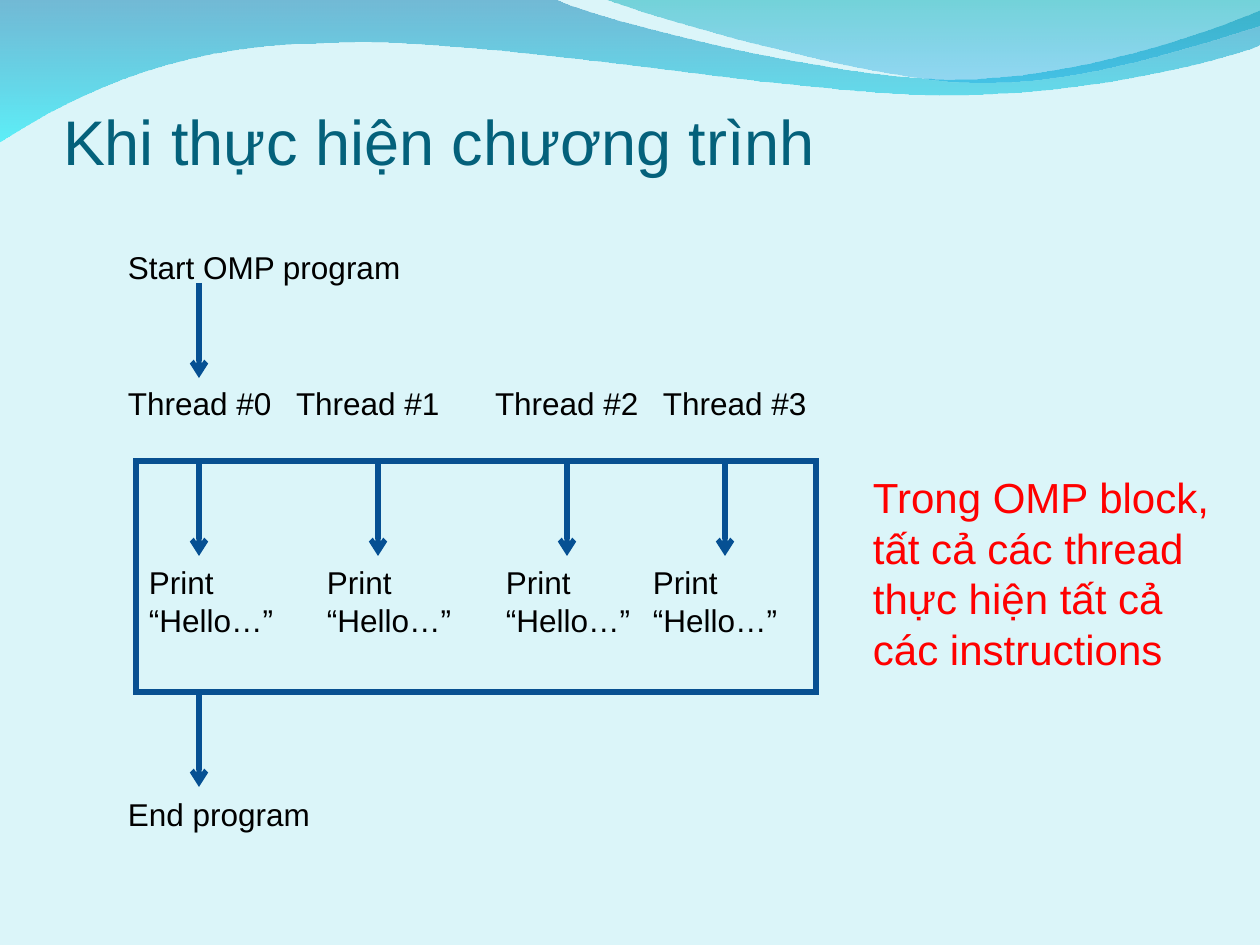
from pptx import Presentation
from pptx import util as u
from pptx.dml.color import RGBColor
from pptx.enum import shapes, text
from pptx.oxml import ns, xmlchemy

EMU_PER_PX = 914400 / 126
FONT = "Arial"
BACKGROUND = "DBF5F9"
TITLE_COLOUR = "04617B"
LINE_COLOUR = "065093"
BOX_COLOUR = "085091"

# Wave outlines: a pair of numbers is a corner, six numbers are a Bezier curve
WAVE_LEFT = [
    (0, -1), (554, -1), (600, 21, 837, 79, 955, 79), (1075, 79, 1207, 33, 1260, 11),
    (1261, 45), (1239, 55, 1096, 96, 940, 95), (784, 94, 481, 35, 324, 43),
    (163, 44, 58, 105, -1, 142),
]
WAVE_RIGHT = [
    (604, -1), (641, 14, 859, 78, 969, 82), (1079, 87, 1211, 40, 1260, 26), (1260, 0),
]

# One value per thread
LABEL_LEFTS = [115, 283, 482, 650]
ARROW_XS = [199, 378, 567, 725]
PRINT_LEFTS = [136, 314, 493, 640]
ARROW_LENGTH = 95
BLOCK_TOP, BLOCK_HEIGHT = 461, 231


def px(value):
    return u.Emu(round(value * EMU_PER_PX))


def colour(hex_string):
    return RGBColor.from_string(hex_string)


def child(parent, tag, **attributes):
    element = xmlchemy.OxmlElement(tag)
    for name, value in attributes.items():
        element.set(name, value)
    parent.append(element)
    return element


def write(shape, content, size=18, hex_colour="000000", insets=(13, 6, 13, 6),
          anchor=text.MSO_ANCHOR.TOP, fit=text.MSO_AUTO_SIZE.SHAPE_TO_FIT_TEXT):
    frame = shape.text_frame
    frame.word_wrap = True
    frame.auto_size = fit
    frame.vertical_anchor = anchor
    (frame.margin_left, frame.margin_top,
     frame.margin_right, frame.margin_bottom) = map(px, insets)
    paragraph = frame.paragraphs[0]
    paragraph.alignment = text.PP_ALIGN.LEFT
    run = paragraph.add_run()
    run.text = content
    run.font.name = FONT
    run.font.size = u.Pt(size)
    run.font.color.rgb = colour(hex_colour)


def add_label(parent, content, left, top, width, height, **style):
    box = parent.shapes.add_textbox(px(left), px(top), px(width), px(height))
    write(box, content, **style)


def add_down_arrow(parent, x, top):
    arrow = parent.shapes.add_connector(
        shapes.MSO_CONNECTOR.STRAIGHT, px(x), px(top), px(x), px(top + ARROW_LENGTH))
    arrow.line.color.rgb = colour(LINE_COLOUR)
    arrow.line.width = u.Pt(3)
    outline = arrow.element.spPr.find(ns.qn("a:ln"))
    child(outline, "a:tailEnd", type="arrow")
    child(arrow.element.spPr, "a:effectLst")


def add_block(parent, left, top, width, height):
    block = parent.shapes.add_shape(
        shapes.MSO_SHAPE.RECTANGLE, px(left), px(top), px(width), px(height))
    block.shadow.inherit = False
    block.fill.background()
    block.line.color.rgb = colour(BOX_COLOUR)
    block.line.width = u.Pt(3)
    child(block.element.spPr.find(ns.qn("a:ln")), "a:miter", lim="800000")


def bend_curves(shape, outline):
    """Join the three lines that stand for each curve into one Bezier segment."""
    lines = iter(shape.element.findall(".//" + ns.qn("a:lnTo")))
    for segment in outline[1:]:
        first = next(lines)
        if len(segment) == 2:
            continue
        curve = xmlchemy.OxmlElement("a:cubicBezTo")
        first.addprevious(curve)
        for line in (first, next(lines), next(lines)):
            curve.append(line[0])
            line.getparent().remove(line)


def add_wave(slide, outline, stops):
    """Draw a wave behind the title; stops are (colour, opacity in percent)."""
    start, *others = [segment[i:i + 2] for segment in outline
                      for i in range(0, len(segment), 2)]
    builder = slide.shapes.build_freeform(*start, scale=EMU_PER_PX)
    builder.add_line_segments(others, close=True)
    wave = builder.convert_to_shape()
    bend_curves(wave, outline)
    wave.shadow.inherit = False
    wave.line.fill.background()
    wave.fill.gradient()
    wave.fill.gradient_angle = 270
    for stop, (hex_colour, _) in zip(wave.fill.gradient_stops, stops):
        stop.color.rgb = colour(hex_colour)
    rgb_elements = wave.element.spPr.findall(".//" + ns.qn("a:srgbClr"))
    for rgb, (_, opacity) in zip(rgb_elements, stops):
        child(rgb, "a:alpha", val=str(opacity * 1000))
    slide.shapes.title.element.addprevious(wave.element)


def add_title(slide, content):
    title = slide.shapes.title
    title.left, title.top, title.width, title.height = map(px, (63, 84, 1134, 94))
    write(title, content, size=36, hex_colour=TITLE_COLOUR, insets=(0, 6, 0, 0),
          anchor=text.MSO_ANCHOR.BOTTOM, fit=text.MSO_AUTO_SIZE.NONE)


def add_thread_diagram(slide):
    diagram = slide.shapes.add_group_shape()
    first_x = ARROW_XS[0]

    # Parallel block
    add_block(diagram, 136, BLOCK_TOP, 680, BLOCK_HEIGHT)
    add_down_arrow(diagram, first_x, BLOCK_TOP + BLOCK_HEIGHT)
    for x in ARROW_XS:
        add_down_arrow(diagram, x, BLOCK_TOP)
    for left in PRINT_LEFTS:
        add_label(diagram, "Print “Hello…”", left, 557, 164, 88)
    for number, left in reversed(list(enumerate(LABEL_LEFTS))):
        add_label(diagram, f"Thread #{number}", left, 378, 197, 50)

    # Start and end of the program
    add_label(diagram, "Start OMP program", LABEL_LEFTS[0], 242, 329, 50)
    add_label(diagram, "End program", LABEL_LEFTS[0], 789, 241, 50)
    add_down_arrow(diagram, first_x, 283)


def main():
    presentation = Presentation()
    presentation.slide_width, presentation.slide_height = px(1260), px(945)
    slide = presentation.slides.add_slide(presentation.slide_layouts[5])

    # Background and waves
    slide.background.fill.solid()
    slide.background.fill.fore_color.rgb = colour(BACKGROUND)
    add_wave(slide, WAVE_LEFT, [("0079AF", 48), ("00EBF8", 58)])
    add_wave(slide, WAVE_RIGHT, [("00ADB6", 48), ("009BE5", 33)])

    # Content
    add_title(slide, "Khi thực hiện chương trình")
    add_thread_diagram(slide)
    add_label(slide, "Trong OMP block, tất cả các thread thực hiện tất cả các instructions",
              860, 466, 368, 214, size=24, hex_colour="FF0000")
    presentation.save("out.pptx")


if __name__ == "__main__":
    main()
